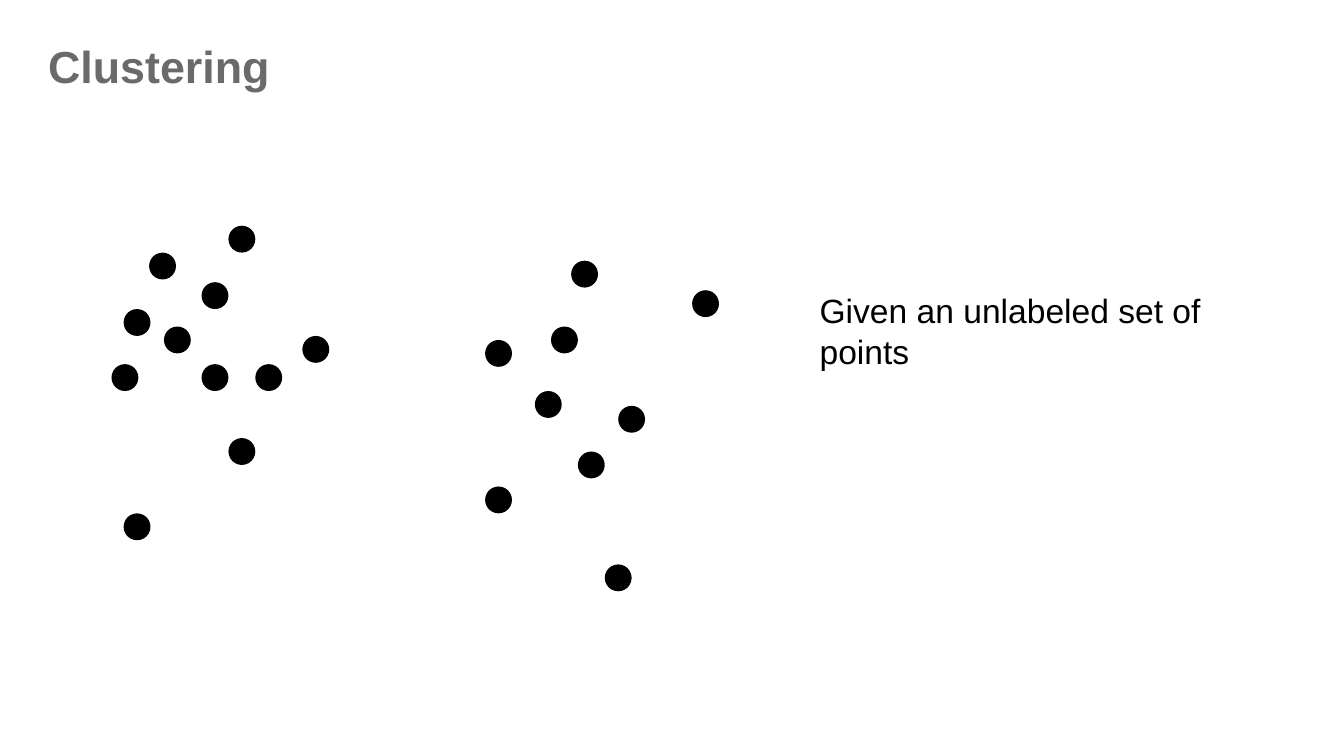
from pptx import Presentation
from pptx.dml.color import RGBColor
from pptx.enum.shapes import MSO_SHAPE
from pptx.enum.text import MSO_ANCHOR
from pptx.util import Inches, Pt

DOT_SIZE = 0.2
LEFT_CLUSTER = [
    (1.11, 1.88), (0.92, 2.3), (1.5, 2.1), (1.22, 2.43), (1.7, 1.68), (0.83, 2.71),
    (1.5, 2.71), (2.25, 2.5), (1.7, 3.26), (1.9, 2.71), (0.92, 3.82),
]
RIGHT_CLUSTER = [
    (3.98, 2.91), (4.3, 3.36), (4.6, 3.02), (3.61, 3.62), (3.61, 2.53),
    (4.1, 2.43), (5.15, 2.16), (4.5, 4.2), (4.25, 1.94),
]


def color(value):
    return RGBColor.from_string(value)


def add_text(page, text, left, top, width, height, size=18, fill="000000", bold=False):
    box = page.shapes.add_textbox(Inches(left), Inches(top), Inches(width), Inches(height))
    frame = box.text_frame
    frame.word_wrap = True
    frame.vertical_anchor = MSO_ANCHOR.TOP
    frame.margin_left = frame.margin_right = Inches(0.1)
    frame.margin_top = frame.margin_bottom = Inches(0.1)
    para = frame.paragraphs[0]
    para.line_spacing = 1.0
    span = para.add_run()
    span.text = text
    span.font.name = "Arial"
    span.font.size = Pt(size)
    span.font.bold = bold
    span.font.color.rgb = color(fill)


def add_dot(page, left, top, fill="000000"):
    dot = page.shapes.add_shape(
        MSO_SHAPE.OVAL, Inches(left), Inches(top), Inches(DOT_SIZE), Inches(DOT_SIZE))
    dot.shadow.inherit = False
    dot.fill.solid()
    dot.fill.fore_color.rgb = color(fill)
    dot.line.fill.background()


def main():
    deck = Presentation()
    deck.slide_width = Inches(10)
    deck.slide_height = Inches(10) * 9 // 16
    page = deck.slides.add_slide(deck.slide_layouts[6])

    add_text(page, "Clustering", 0.26, 0.19, 8.64, 0.53, size=24, fill="6A6A6A", bold=True)
    for left, top in LEFT_CLUSTER + RIGHT_CLUSTER:
        add_dot(page, left, top)
    add_text(page, "Given an unlabeled set of points", 6, 2.06, 3.69, 1.43)

    deck.save("out.pptx")


if __name__ == "__main__":
    main()
